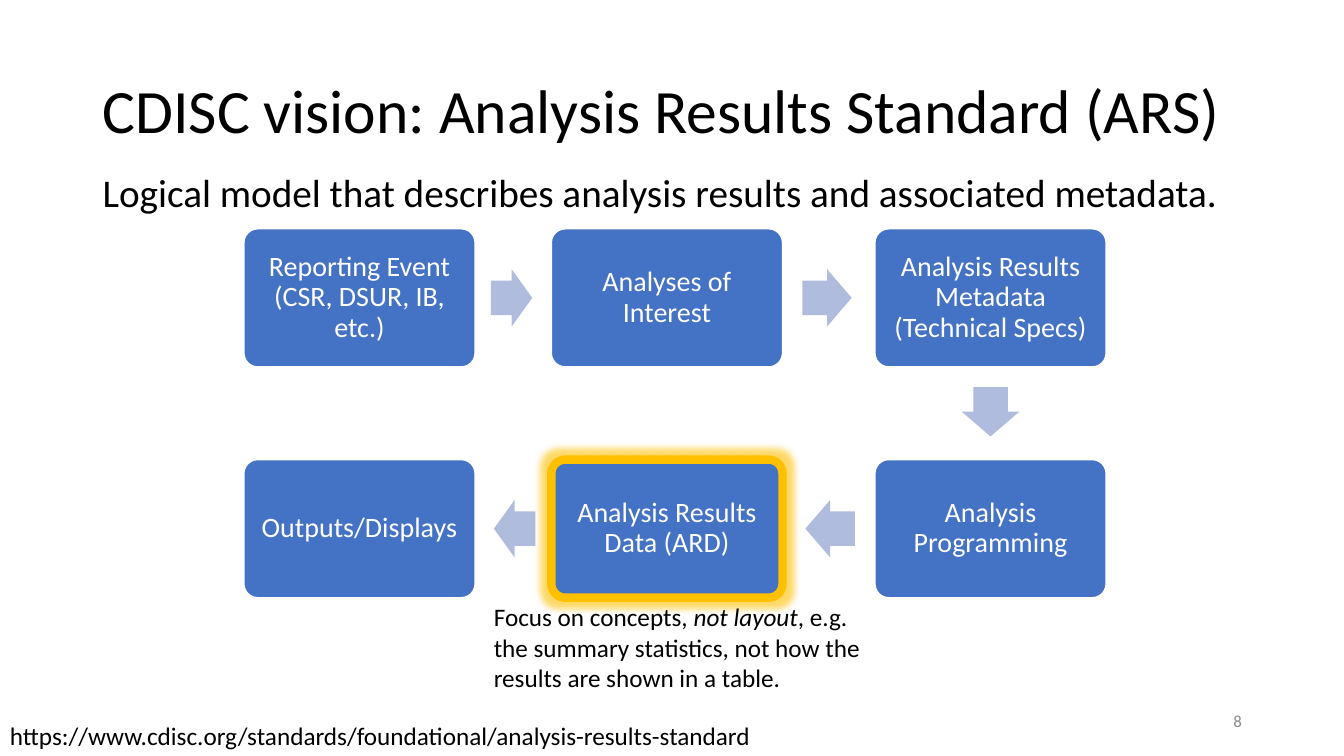
from lxml import etree
from pptx import Presentation
from pptx import util as u
from pptx.dml.color import RGBColor
from pptx.enum import shapes, text
from pptx.oxml.ns import qn

COLS, ROWS = 40, 30
BLUE, PALE, GOLD = "4472C4", "B0BCDE", "FFC000"
WHITE, BLACK, GREY = "FFFFFF", "000000", "8C8C8C"
KIND, ALIGN, ANCHOR = shapes.MSO_SHAPE, text.PP_ALIGN, text.MSO_ANCHOR


def color(code):
    return RGBColor.from_string(code)


def apply(obj, style):
    for name, value in style.items():
        setattr(obj, name, value)


class Deck:
    font = "Calibri"

    def __init__(self):
        self.show = Presentation()
        apply(self.show, {"slide_width": u.Inches(13.33), "slide_height": u.Inches(7.5)})
        self.slide = self.show.slides.add_slide(self.show.slide_layouts[6])

    def place(self, x, y, w, h):
        col = self.show.slide_width / COLS
        row = self.show.slide_height / ROWS
        return [round(n) for n in (x * col, y * row, w * col, h * row)]

    def fill_text(self, frame, runs, size, tint, para=None, **style):
        apply(frame, {"word_wrap": True, **style})
        line = frame.paragraphs[0]
        apply(line, para or {})
        for words, slant in runs:
            run = line.add_run()
            run.text = words
            apply(run.font, {"name": self.font, "size": u.Pt(size), "italic": slant})
            run.font.color.rgb = color(tint)

    def label(self, at, runs, size, tint=BLACK, para=None, **style):
        if isinstance(runs, str):
            runs = [(runs, False)]
        box = self.slide.shapes.add_textbox(*self.place(*at))
        self.fill_text(box.text_frame, runs, size, tint, para, **style)

    def shape(self, kind, at, fill, adjust):
        item = self.slide.shapes.add_shape(kind, *self.place(*at))
        item.shadow.inherit = False
        item.fill.solid()
        item.fill.fore_color.rgb = color(fill)
        for i, value in enumerate(adjust):
            item.adjustments[i] = value
        return item

    def card(self, at, words, edge=WHITE, width=1):
        item = self.shape(KIND.ROUNDED_RECTANGLE, at, BLUE, [0.1])
        item.line.color.rgb = color(edge)
        item.line.width = u.Pt(width)
        pads = {"margin_" + side: u.Inches(0.08) for side in ("left", "top", "right", "bottom")}
        self.fill_text(item.text_frame, [(words, False)], 20, WHITE,
                       {"alignment": ALIGN.CENTER, "line_spacing": 0.9},
                       vertical_anchor=ANCHOR.MIDDLE, **pads)
        return item

    def glow(self, item, tint, size, alpha):
        effects = item._element.spPr.find(qn("a:effectLst"))
        glow = etree.SubElement(effects, qn("a:glow"), rad=str(u.Pt(size)))
        shade = etree.SubElement(glow, qn("a:srgbClr"), val=tint)
        etree.SubElement(shade, qn("a:alpha"), val=str(alpha * 1000))

    def arrow(self, at, turn=0):
        item = self.shape(KIND.RIGHT_ARROW, at, PALE, [0.6, 0.5])
        item.line.fill.background()
        item.rotation = turn


def main():
    deck = Deck()
    tight = {"line_spacing": 0.9}
    deck.label((2.76, 1.6, 34.5, 5.8), "CDISC vision: Analysis Results Standard (ARS)",
               44, para=tight, vertical_anchor=ANCHOR.MIDDLE)
    deck.label((2.76, 6.68, 37.2, 2.2),
               "Logical model that describes analysis results and associated metadata.",
               28, para=tight)
    deck.label((28.26, 27.8, 9, 1.6), "8", 12, GREY, {"alignment": ALIGN.RIGHT},
               vertical_anchor=ANCHOR.MIDDLE)

    lefts, tops = (7.26, 16.41, 26.04), (9.08, 18.24)
    wide, high, thick = 6.88, 5.48, 2.28
    steps = (
        ("Reporting Event (CSR, DSUR, IB, etc.)", "Analyses of Interest",
         "Analysis Results Metadata (Technical Specs)"),
        ("Outputs/Displays", "Analysis Results Data (ARD)", "Analysis Programming"),
    )
    for top, names, turn, shift in zip(tops, steps, (0, 180), (0, 0.09)):
        for left, name in zip(lefts, names):
            focus = "(ARD)" in name
            edge = {"edge": GOLD, "width": 6} if focus else {}
            card = deck.card((left, top, wide, high), name, **edge)
            if focus:
                deck.glow(card, GOLD, 10, 60)
        for x, span in ((14.61, 1.23), (23.88, 1.47)):
            deck.arrow((x + shift, top + (high - thick) / 2, span, thick), turn)
    deck.arrow((lefts[2] + (wide - 1.47) / 2, 15.2, 1.47, thick), 90)

    deck.label((0, 28.4, 27.8, 1.6),
               "https://www.cdisc.org/standards/foundational/analysis-results-standard", 18)
    deck.label((14.4, 23.68, 11.82, 4.04), [
        ("Focus on concepts, ", False), ("not layout", True),
        (", e.g. the summary statistics, not how the results are shown in a table.", False)], 18)
    deck.show.save("out.pptx")


if __name__ == "__main__":
    main()
